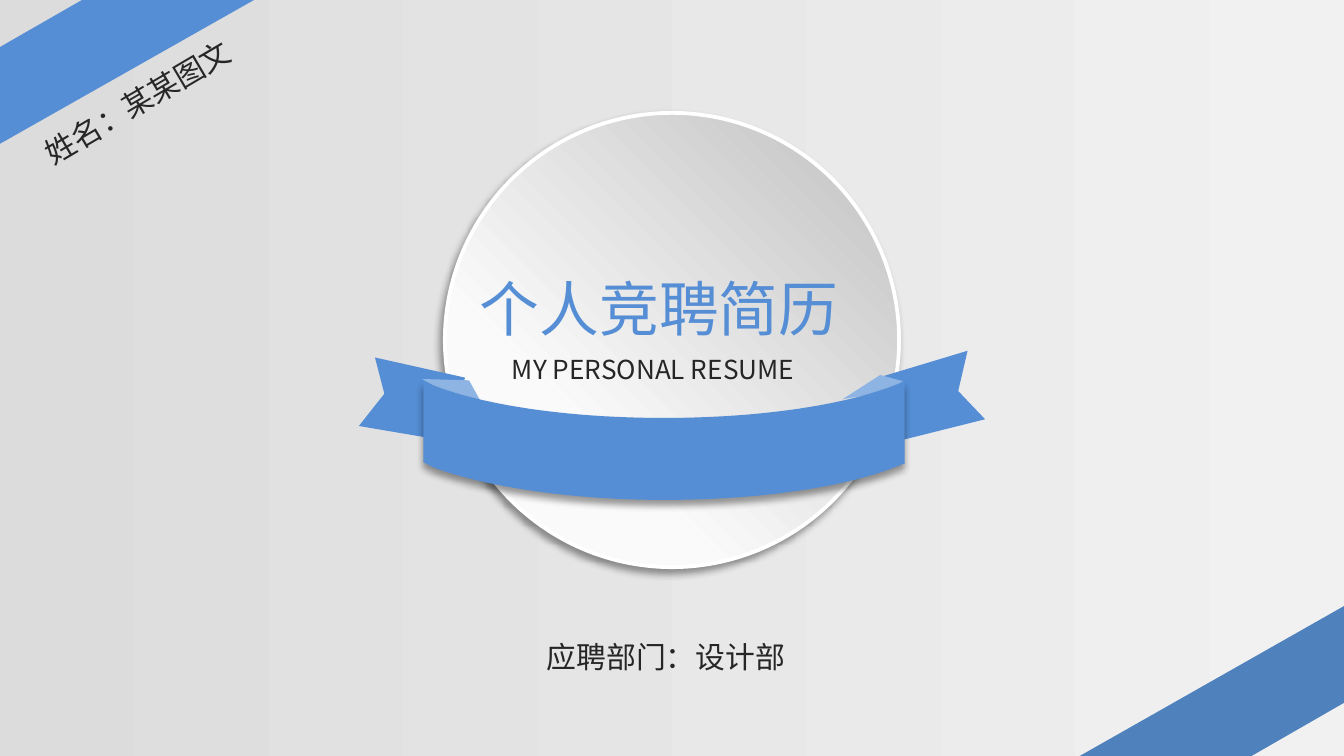
from lxml import etree
from pptx import Presentation
from pptx.dml.color import RGBColor
from pptx.enum.shapes import MSO_SHAPE
from pptx.enum.text import MSO_ANCHOR, MSO_AUTO_SIZE, PP_ALIGN
from pptx.oxml.ns import qn
from pptx.util import Inches, Pt

OVAL = MSO_SHAPE.OVAL
TOP = MSO_ANCHOR.TOP
FIT = MSO_AUTO_SIZE.SHAPE_TO_FIT_TEXT
LEFT = PP_ALIGN.LEFT

FONT = "Noto Sans CJK SC"
BLUE = "558ED5"
FOLD = "8EB4E3"
CORNER = "4F81BD"
INK = "262626"

TAILS = [
    [(2.79, 2.66), (3.46, 2.81), (3.32, 3.28), (2.67, 3.17), (2.86, 2.93)],
    [(7.33, 3.12), (6.65, 3.29), (6.57, 2.8), (7.2, 2.61), (7.13, 2.91)],
]
FOLDS = [
    [(3.14, 2.82), (3.49, 2.83), (3.64, 3.1)],
    [(6.27, 2.97), (6.55, 2.79), (6.73, 2.84), (6.69, 2.9)],
]
TOP_CORNER = [(0.61, 0), (1.89, 0), (0, 1.07), (0, 0.35)]
BOTTOM_CORNER = [(10, 4.51), (10, 5.23), (9.27, 5.65), (7.99, 5.65)]


def color(value):
    """Turn a hex string into a colour."""
    return RGBColor.from_string(value)


def set_gradient(fill, stops, angle):
    """Give a fill a two-stop linear gradient."""
    fill.gradient()
    fill.gradient_angle = angle
    for stop, (position, value) in zip(fill.gradient_stops, stops):
        stop.position = position
        stop.color.rgb = color(value)


def add_shadow(sp, direction):
    """Add a soft black outer shadow cast in a direction in degrees."""
    effects = sp.element.spPr.find(qn("a:effectLst"))
    shadow = etree.SubElement(
        effects, qn("a:outerShdw"), blurRad=str(Pt(4)), dist=str(Pt(3)),
        dir=str(direction * 60000), algn="ctr", rotWithShape="0")
    black = etree.SubElement(shadow, qn("a:srgbClr"), val="000000")
    etree.SubElement(black, qn("a:alpha"), val="40000")


def bezier(start, c1, c2, end, steps=24):
    """Sample the points of a cubic curve after its start."""
    points = []
    for i in range(1, steps + 1):
        t = i / steps
        weights = ((1 - t) ** 3, 3 * t * (1 - t) ** 2, 3 * t * t * (1 - t), t ** 3)
        points.append(tuple(
            sum(w * v for w, v in zip(weights, values))
            for values in zip(start, c1, c2, end)))
    return points


def band_outline():
    """Return the outline of the curved front band."""
    return [
        (6.73, 2.83), (6.73, 3.45), (6.7, 3.46),
        *bezier((6.7, 3.46), (6.32, 3.62), (5.67, 3.72), (4.94, 3.72)),
        *bezier((4.94, 3.72), (4.24, 3.72), (3.61, 3.62), (3.23, 3.48)),
        (3.15, 3.44), (3.15, 2.83), (3.18, 2.85),
        *bezier((3.18, 2.85), (3.56, 3.01), (4.21, 3.11), (4.94, 3.11)),
        *bezier((4.94, 3.11), (5.67, 3.11), (6.32, 3.01), (6.7, 2.85)),
    ]


def add_polygon(shapes, points, fill):
    """Draw a closed, filled outline without a line."""
    (x, y), *rest = [(Inches(px), Inches(py)) for px, py in points]
    builder = shapes.build_freeform(x, y)
    builder.add_line_segments(rest, close=True)
    sp = builder.convert_to_shape()
    sp.shadow.inherit = False
    sp.fill.solid()
    sp.fill.fore_color.rgb = color(fill)
    sp.line.fill.background()
    return sp


def add_badge(s):
    """Draw the round badge."""
    sp = s.shapes.add_shape(OVAL, Inches(3.31), Inches(0.84), Inches(3.38), Inches(3.38))
    sp.shadow.inherit = False
    set_gradient(sp.fill, [(0, "BFBFBF"), (0.7, "FAFAFA")], 225)
    sp.line.color.rgb = color("FFFFFF")
    sp.line.width = Pt(2)
    add_shadow(sp, 135)


def add_ribbon(s):
    """Draw the ribbon as one group."""
    shapes = s.shapes.add_group_shape().shapes
    for outlines, fill in ((TAILS, BLUE), (FOLDS, FOLD)):
        for points in outlines:
            add_polygon(shapes, points, fill)
    add_shadow(add_polygon(shapes, band_outline(), BLUE), 90)


def write_text(sp, box, text, size, fill):
    """Place a text shape and write one line in it."""
    sp.left, sp.top, sp.width, sp.height = [Inches(v) for v in box]
    tf = sp.text_frame
    tf.word_wrap = False
    tf.auto_size = FIT
    tf.vertical_anchor = TOP
    p = tf.paragraphs[0]
    p.alignment = LEFT
    r = p.add_run()
    r.text = text
    r.font.name = FONT
    r.font.size = Pt(size)
    r.font.color.rgb = color(fill)
    for props in sp.element.iter(qn("a:rPr")):
        etree.SubElement(props, qn("a:ea"), typeface=FONT)


def add_label(s, box, text, size, rotation=0):
    """Add a dark one-line text box."""
    sp = s.shapes.add_textbox(0, 0, 0, 0)
    write_text(sp, box, text, size, INK)
    sp.rotation = rotation


def add_title(s):
    """Write the title and bring it in front of the badge."""
    title = s.shapes.title
    title.element.getparent().append(title.element)
    write_text(title, (3.47, 1.97, 2.89, 0.64), "个人竞聘简历", 32, BLUE)


def main():
    """Build the cover slide."""
    prs = Presentation()
    prs.slide_width = Inches(10)
    prs.slide_height = Inches(10 * 9 / 16)
    s = prs.slides.add_slide(prs.slide_layouts[5])
    set_gradient(s.background.fill, [(0, "DCDCDC"), (1, "F1F1F1")], 0)
    add_badge(s)
    add_ribbon(s)
    add_title(s)
    add_label(s, (3.71, 2.58, 2.55, 0.34), "MY PERSONAL RESUME", 14)
    add_label(s, (3.97, 4.7, 2.06, 0.37), "应聘部门：设计部", 16)
    add_label(s, (0.15, 0.57, 1.77, 0.37), "姓名：某某图文", 16, 329.5)
    add_polygon(s.shapes, TOP_CORNER, BLUE)
    add_polygon(s.shapes, BOTTOM_CORNER, CORNER)
    prs.save("out.pptx")


if __name__ == "__main__":
    main()
